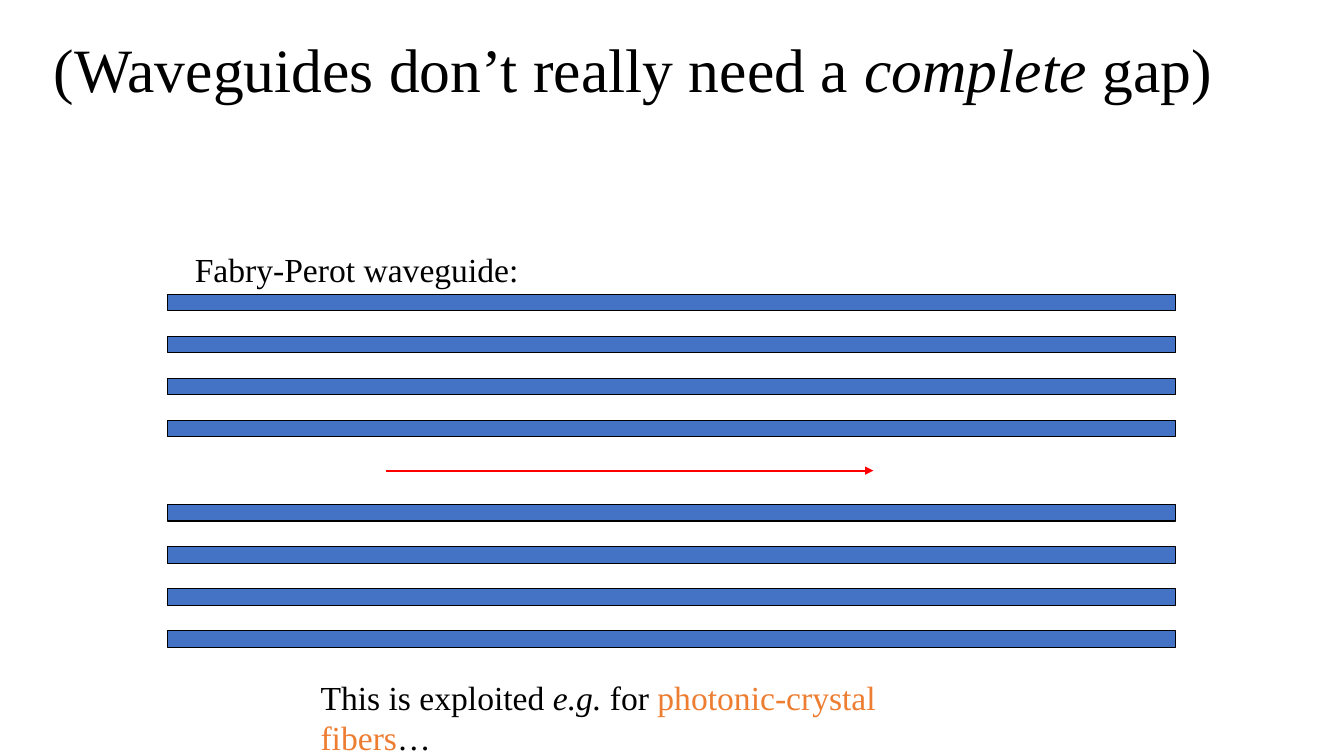
from dataclasses import dataclass

from pptx import Presentation
from pptx.dml.color import RGBColor
from pptx.enum.shapes import MSO_CONNECTOR, MSO_SHAPE
from pptx.enum.text import MSO_ANCHOR, MSO_AUTO_SIZE, PP_ALIGN
from pptx.oxml.ns import qn
from pptx.slide import Slide
from pptx.text.text import TextFrame
from pptx.util import Cm, Pt
from lxml.etree import SubElement

FONT = "Times New Roman"
BLACK, BLUE, ORANGE, RED = "000000", "4472C4", "ED7D31", "FF0000"
LAYER_LEFT, LAYER_TOP, LAYER_WIDTH, LAYER_HEIGHT = 4.23, 7.41, 25.4, 0.42
LAYER_PITCH = 1.06
LAYER_SLOTS = 9
CORE_SLOT = 4


@dataclass(frozen=True)
class Phrase:
    text: str
    italic: bool = False
    colour: str = BLACK


@dataclass(frozen=True)
class Caption:
    left: float
    top: float
    width: float
    phrases: tuple[Phrase, ...]


HEADING = (
    Phrase("(Waveguides don’t really need a "),
    Phrase("complete", italic=True),
    Phrase(" gap)"),
)
CAPTIONS = (
    Caption(4.66, 6.14, 9, (Phrase("Fabry-Perot waveguide:"),)),
    Caption(7.83, 16.93, 17.3, (
        Phrase("This is exploited "),
        Phrase("e.g.", italic=True),
        Phrase(" for "),
        Phrase("photonic-crystal fibers", colour=ORANGE),
        Phrase("…"),
    )),
)


def rgb(colour: str) -> RGBColor:
    return RGBColor.from_string(colour)


def write(frame: TextFrame, phrases: tuple[Phrase, ...], size: int) -> None:
    frame.word_wrap = True
    paragraph = frame.paragraphs[0]
    paragraph.font.name = FONT
    paragraph.font.size = Pt(size)
    for phrase in phrases:
        run = paragraph.add_run()
        run.text = phrase.text
        run.font.color.rgb = rgb(phrase.colour)
        if phrase.italic:
            run.font.italic = True


def add_heading(slide: Slide) -> None:
    heading = slide.shapes.title
    heading.left, heading.top = Cm(0.38), Cm(0)
    heading.width, heading.height = Cm(31.14), Cm(3.68)
    frame = heading.text_frame
    write(frame, HEADING, 44)
    frame.auto_size = MSO_AUTO_SIZE.NONE
    frame.vertical_anchor = MSO_ANCHOR.MIDDLE
    frame.paragraphs[0].alignment = PP_ALIGN.CENTER
    frame.paragraphs[0].line_spacing = 0.9


def add_layer(slide: Slide, slot: int) -> None:
    layer = slide.shapes.add_shape(
        MSO_SHAPE.RECTANGLE, Cm(LAYER_LEFT), Cm(LAYER_TOP + slot * LAYER_PITCH),
        Cm(LAYER_WIDTH), Cm(LAYER_HEIGHT))
    layer.shadow.inherit = False
    layer.fill.solid()
    layer.fill.fore_color.rgb = rgb(BLUE)
    layer.line.color.rgb = rgb(BLACK)
    layer.line.width = Pt(0.75)


def add_light_arrow(slide: Slide) -> None:
    core_middle = Cm(LAYER_TOP + CORE_SLOT * LAYER_PITCH + LAYER_HEIGHT / 2)
    light = slide.shapes.add_connector(
        MSO_CONNECTOR.STRAIGHT, Cm(9.74), core_middle, Cm(22.01), core_middle)
    light.line.color.rgb = rgb(RED)
    light.line.width = Pt(1.5)
    properties = light._element.spPr
    SubElement(properties.find(qn("a:ln")), qn("a:tailEnd"), type="triangle")
    SubElement(properties, qn("a:effectLst"))


def add_caption(slide: Slide, caption: Caption) -> None:
    box = slide.shapes.add_textbox(
        Cm(caption.left), Cm(caption.top), Cm(caption.width), Cm(1.27))
    write(box.text_frame, caption.phrases, 24)


def main() -> None:
    deck = Presentation()
    deck.slide_width, deck.slide_height = Cm(33.87), Cm(19.05)
    slide = deck.slides.add_slide(deck.slide_layouts.get_by_name("Title Only"))
    add_heading(slide)
    for slot in range(LAYER_SLOTS):
        if slot != CORE_SLOT:
            add_layer(slide, slot)
    add_light_arrow(slide)
    for caption in CAPTIONS:
        add_caption(slide, caption)
    deck.save("out.pptx")


if __name__ == "__main__":
    main()
